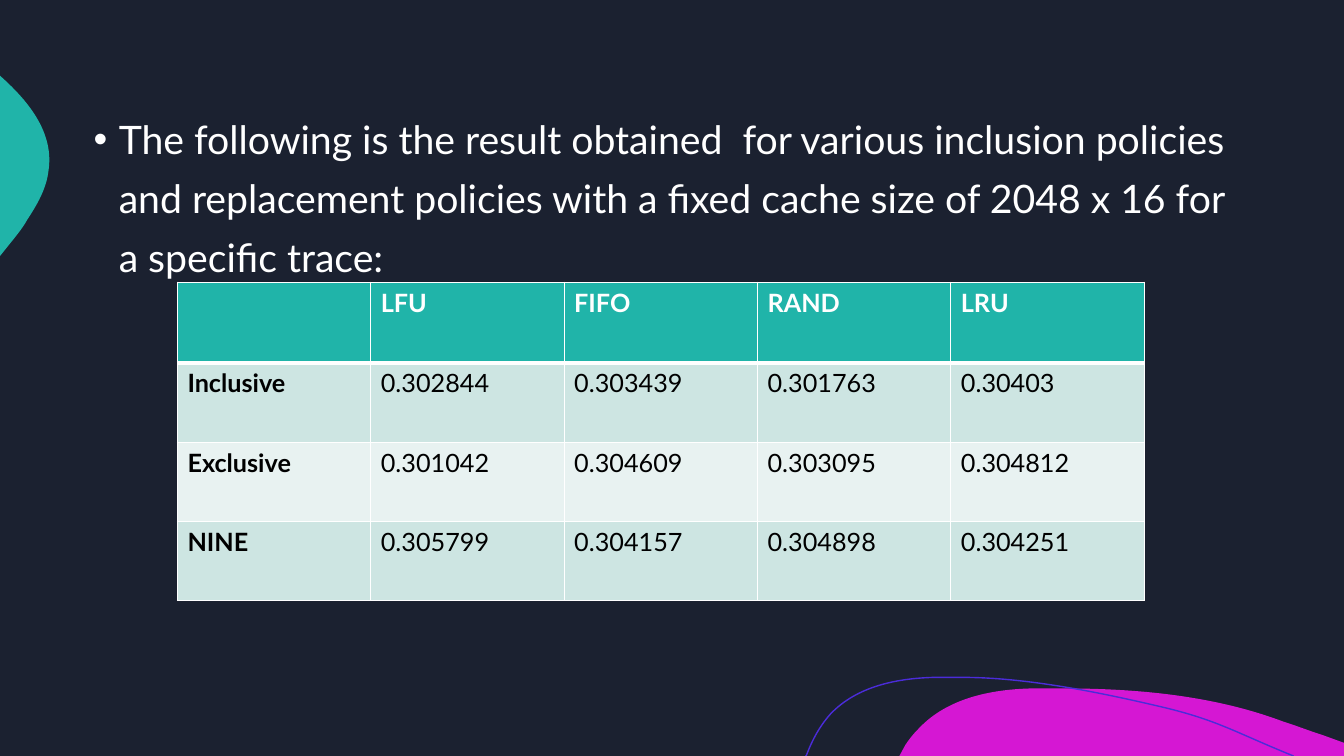
import dataclasses

import pptx
import pptx.dml.color
import pptx.oxml
import pptx.oxml.ns
import pptx.util

STATEMENT = (
    "The following is the result obtained  for various inclusion policies and "
    "replacement policies with a fixed cache size of 2048 x 16 for a specific trace:"
)
RESULTS = [
    ("", "LFU", "FIFO", "RAND", "LRU"),
    ("Inclusive", "0.302844", "0.303439", "0.301763", "0.30403"),
    ("Exclusive", "0.301042", "0.304609", "0.303095", "0.304812"),
    ("NINE", "0.305799", "0.304157", "0.304898", "0.304251"),
]

# Outlines in inches: a pair is a corner, six numbers are a Bezier curve.
MAGENTA_WAVE = [
    (10.54, 6.83), (11.28, 6.83, 12.04, 6.9, 12.73, 7.16),
    (12.86, 7.2, 12.98, 7.25, 13.11, 7.29), (13.33, 7.37), (13.33, 7.5),
    (8.92, 7.5), (8.98, 7.39), (9.02, 7.33, 9.06, 7.28, 9.11, 7.23),
    (9.39, 6.93, 9.82, 6.84, 10.23, 6.83), (10.33, 6.83, 10.43, 6.83, 10.54, 6.83),
]
TEAL_BULGE = [
    (0, 0.75), (0.01, 0.76), (0.3, 1.02, 0.54, 1.33, 0.48, 1.7),
    (0.46, 1.87, 0.37, 2.03, 0.27, 2.18), (0.24, 2.24, 0.17, 2.33, 0.08, 2.44),
    (0, 2.54),
]
VIOLET_CURVE = [
    (7.99, 7.5), (8, 7.49), (8.06, 7.33, 8.14, 7.19, 8.24, 7.08),
    (8.5, 6.81, 8.89, 6.73, 9.26, 6.72), (9.55, 6.72),
    (10.22, 6.72, 11, 6.89, 11.55, 7.02), (12.09, 7.15, 12.26, 7.27, 12.83, 7.5),
]

SLIDE_SIZE = (13.33, 7.5)
STATEMENT_BOX = (0.83, 0.98, 11.67, 5.69)
TABLE_BOX = (1.76, 2.8, 9.59, 3.16)
HEADER_HEIGHT = 0.8


@dataclasses.dataclass(frozen=True)
class Theme:
    font: str = "Lato"
    background: str = "1B2130"
    teal: str = "20B4A9"
    magenta: str = "D517D3"
    violet: str = "4B2CD9"
    white: str = "FFFFFF"
    black: str = "000000"
    bands: tuple = ("E8F2F1", "CDE5E2")
    statement_size: int = 28
    table_size: int = 18
    thin: int = 1
    thick: int = 3


THEME = Theme()
NAMESPACE = pptx.oxml.ns.nsdecls("a")


def rgb(color):
    return pptx.dml.color.RGBColor.from_string(color)


def inches(lengths):
    return [pptx.util.Inches(length) for length in lengths]


def add_span(para, text, size, color, bold=False):
    span = para.add_run()
    span.text = text
    span.font.name = THEME.font
    span.font.size = pptx.util.Pt(size)
    span.font.bold = bold
    span.font.color.rgb = rgb(color)


def bend(blob, outline):
    """Replace the straight segments of a freeform by its Bezier curves."""
    segments = blob._element.findall(".//" + pptx.oxml.ns.qn("a:lnTo"))
    for segment, part in zip(segments, outline[1:]):
        if len(part) == 2:
            continue
        numbers = inches(part)
        points = "".join(
            f'<a:pt x="{x - blob.left}" y="{y - blob.top}"/>'
            for x, y in zip(numbers[::2], numbers[1::2])
        )
        curve = pptx.oxml.parse_xml(
            f"<a:cubicBezTo {NAMESPACE}>{points}</a:cubicBezTo>")
        segment.getparent().replace(segment, curve)


def add_blob(page, outline, fill=None, line=None):
    start, *rest = [inches(part[-2:]) for part in outline]
    builder = page.shapes.build_freeform(*start, scale=1.0)
    builder.add_line_segments(rest, close=fill is not None)
    blob = builder.convert_to_shape()
    bend(blob, outline)
    blob.shadow.inherit = False
    if fill:
        blob.fill.solid()
        blob.fill.fore_color.rgb = rgb(fill)
    else:
        blob.fill.background()
    if line:
        blob.line.color.rgb = rgb(line)
        blob.line.width = pptx.util.Pt(THEME.thin)
    else:
        blob.line.fill.background()


def add_statement(page):
    frame = page.shapes.add_textbox(*inches(STATEMENT_BOX)).text_frame
    frame.word_wrap = True
    para = frame.paragraphs[0]
    para.line_spacing = 1.25
    para.space_before = pptx.util.Pt(10)
    add_span(para, STATEMENT, THEME.statement_size, THEME.white)
    properties = para._p.get_or_add_pPr()
    indent = pptx.util.Inches(0.25)
    properties.set("marL", str(indent))
    properties.set("indent", str(-indent))
    for bullet in ('buFont typeface="Arial"', 'buChar char="•"'):
        properties.append(pptx.oxml.parse_xml(f"<a:{bullet} {NAMESPACE}/>"))


def set_borders(cell, top, bottom):
    properties = cell._tc.get_or_add_tcPr()
    widths = {"L": THEME.thin, "R": THEME.thin, "T": top, "B": bottom}
    for side, width in widths.items():
        properties.append(pptx.oxml.parse_xml(
            f'<a:ln{side} {NAMESPACE} w="{pptx.util.Pt(width)}">'
            f'<a:solidFill><a:srgbClr val="{THEME.white}"/></a:solidFill></a:ln{side}>'
        ))


def add_results(page):
    row_count, column_count = len(RESULTS), len(RESULTS[0])
    left, top, width, height = inches(TABLE_BOX)
    header_height = pptx.util.Inches(HEADER_HEIGHT)
    body_height = (height - header_height) // (row_count - 1)
    table = page.shapes.add_table(
        row_count, column_count, left, top, width, height).table
    for column in table.columns:
        column.width = width // column_count
    for r, values in enumerate(RESULTS):
        header = r == 0
        table.rows[r].height = header_height if header else body_height
        for c, value in enumerate(values):
            cell = table.cell(r, c)
            set_borders(
                cell,
                top=THEME.thick if r == 1 else THEME.thin,
                bottom=THEME.thick if header else THEME.thin,
            )
            cell.fill.solid()
            cell.fill.fore_color.rgb = rgb(THEME.teal if header else THEME.bands[r % 2])
            if value:
                add_span(
                    cell.text_frame.paragraphs[0], value, THEME.table_size,
                    THEME.white if header else THEME.black, bold=header or c == 0)


def main():
    deck = pptx.Presentation()
    deck.slide_width, deck.slide_height = inches(SLIDE_SIZE)
    page = deck.slides.add_slide(deck.slide_layouts[6])
    page.background.fill.solid()
    page.background.fill.fore_color.rgb = rgb(THEME.background)
    add_blob(page, MAGENTA_WAVE, fill=THEME.magenta)
    add_blob(page, TEAL_BULGE, fill=THEME.teal)
    add_blob(page, VIOLET_CURVE, line=THEME.violet)
    add_statement(page)
    add_results(page)
    deck.save("out.pptx")


if __name__ == "__main__":
    main()
